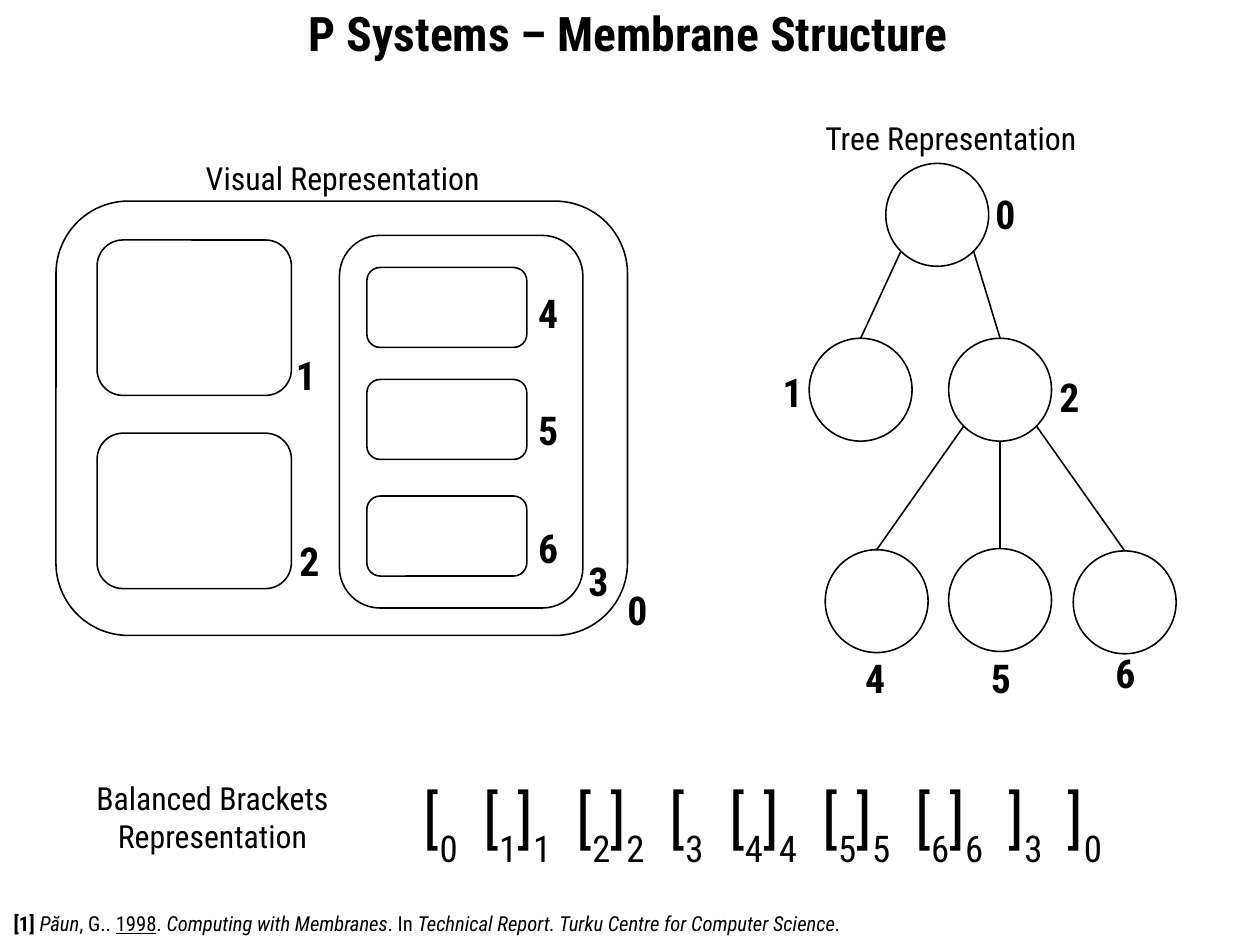
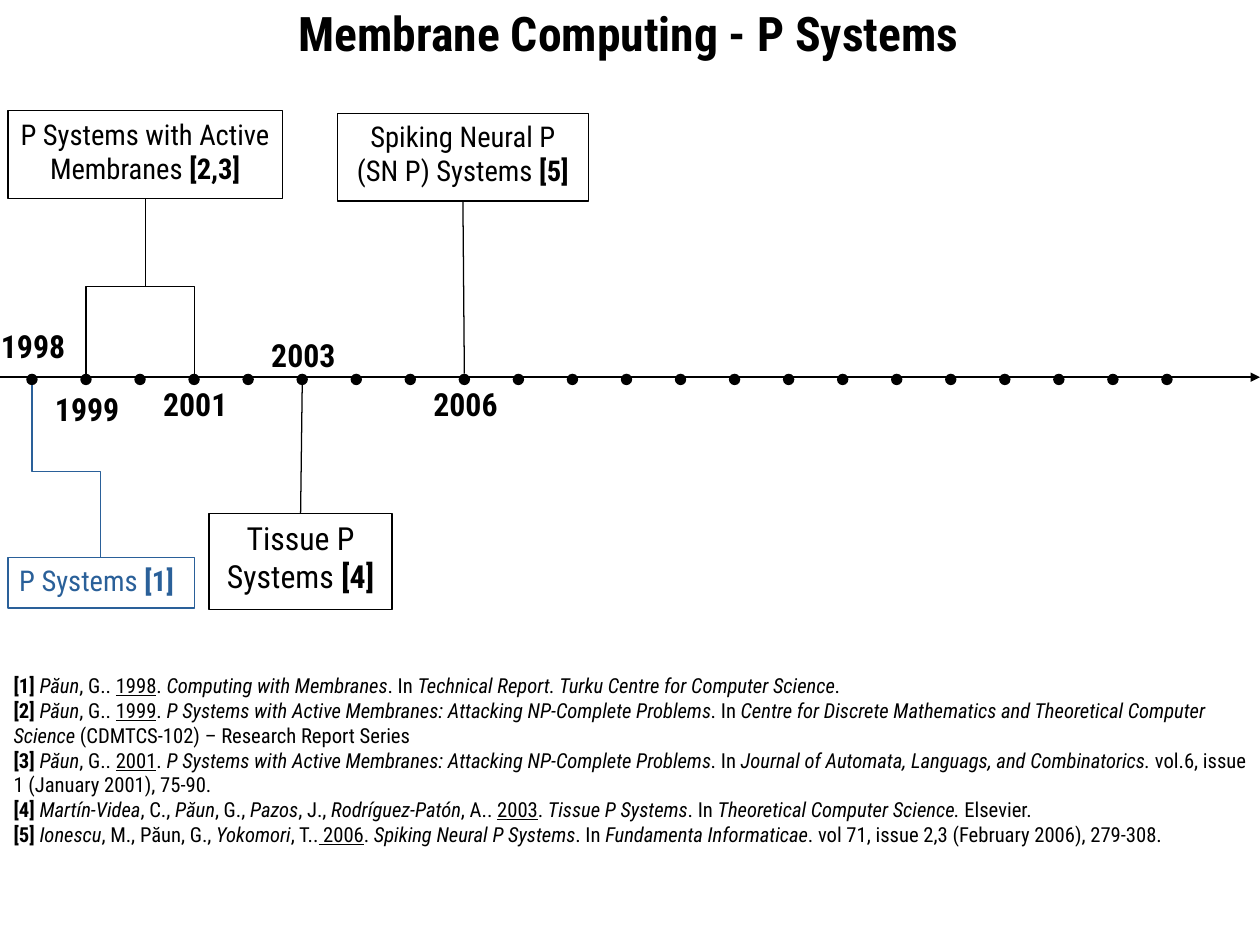
import lxml.etree
import pptx
import pptx.dml.color
import pptx.enum.shapes
import pptx.enum.text
import pptx.oxml.ns
import pptx.shapes.connector
import pptx.util

Inches = pptx.util.Inches
SHAPE = pptx.enum.shapes.MSO_SHAPE
CONNECTOR = pptx.enum.shapes.MSO_CONNECTOR
LEFT = pptx.enum.text.PP_ALIGN.LEFT
CENTER = pptx.enum.text.PP_ALIGN.CENTER
TOP = pptx.enum.text.MSO_ANCHOR.TOP
MIDDLE = pptx.enum.text.MSO_ANCHOR.MIDDLE
qn = pptx.oxml.ns.qn

COLOURS = {"black": "000000", "blue": "2A6099"}
FONT = "Roboto Condensed"


def write_text(shape, paragraphs, size, colour="black", align=LEFT, anchor=TOP, wrap=True):
    """Fill a shape; each paragraph is a list of (text, style), style letters: b, i, u, s(ubscript)."""
    frame = shape.text_frame
    frame.word_wrap = wrap
    frame.vertical_anchor = anchor
    for index, pieces in enumerate(paragraphs):
        paragraph = frame.add_paragraph() if index else frame.paragraphs[0]
        paragraph.alignment = align
        for text, style in pieces:
            run = paragraph.add_run()
            run.text = text
            run.font.name = FONT
            run.font.size = pptx.util.Pt(size)
            run.font.color.rgb = pptx.dml.color.RGBColor.from_string(COLOURS[colour])
            run.font.bold = "b" in style
            run.font.italic = "i" in style
            run.font.underline = "u" in style
            if "s" in style:
                run._r.get_or_add_rPr().set("baseline", "-33000")


def style_line(shape, width=1, colour="black"):
    """Give a shape or connector a plain line, with no fill and no shadow."""
    shape.line.color.rgb = pptx.dml.color.RGBColor.from_string(COLOURS[colour])
    shape.line.width = pptx.util.Pt(width)
    if isinstance(shape, pptx.shapes.connector.Connector):
        lxml.etree.SubElement(shape._element.spPr, qn("a:effectLst"))
    else:
        shape.fill.background()
        shape.shadow.inherit = False


# Slide size: 28 by 21 centimetres
presentation = pptx.Presentation()
presentation.slide_width = Inches(28 / 2.54)
presentation.slide_height = Inches(21 / 2.54)

# Slides with their titles
slides = []
for title in ("P Systems – Membrane Structure", "Membrane Computing - P Systems"):
    slide = presentation.slides.add_slide(presentation.slide_layouts[6])
    title_box = slide.shapes.add_textbox(0, Inches(0.01), Inches(11), Inches(0.55))
    frame = title_box.text_frame
    frame.margin_left = frame.margin_right = frame.margin_top = frame.margin_bottom = 0
    write_text(title_box, [[(title, "b")]], 30, align=CENTER, anchor=MIDDLE)
    slides.append(slide)
structure_slide, timeline_slide = slides

# References: the first one is cited on both slides
active_membranes = "P Systems with Active Membranes: Attacking NP-Complete Problems"
references = [
    [("[1] ", "b"), ("Păun", "i"), (", G.. ", ""), ("1998", "u"), (". ", ""),
     ("Computing with Membranes", "i"), (". In ", ""),
     ("Technical Report. Turku Centre for Computer Science", "i"), (".", "")],
    [("[2] ", "b"), ("Păun", "i"), (", G.. ", ""), ("1999", "u"), (". ", ""),
     (active_membranes, "i"), (". In ", ""),
     ("Centre for Discrete Mathematics and Theoretical Computer Science", "i"),
     (" (CDMTCS-102) – Research Report Series", "")],
    [("[3] ", "b"), ("Păun", "i"), (", G.. ", ""), ("2001", "u"), (". ", ""),
     (active_membranes, "i"), (". In ", ""),
     ("Journal of Automata, Languags, and Combinatorics.", "i"),
     (" vol.6, issue 1 (January 2001), 75-90.", "")],
    [("[4] ", "b"), ("Martín-Videa", "i"), (", C., ", ""), ("Păun", "i"), (", G., ", ""),
     ("Pazos", "i"), (", J., ", ""), ("Rodríguez-Patón", "i"), (", A.. ", ""),
     ("2003", "u"), (". ", ""), ("Tissue P Systems", "i"), (". In ", ""),
     ("Theoretical Computer Science. ", "i"), ("Elsevier.", "")],
    [("[5] ", "b"), ("Ionescu", "i"), (", M., Păun, G., ", ""), ("Yokomori", "i"),
     (", T..", ""), (" 2006", "u"), (". ", ""), ("Spiking Neural P Systems", "i"),
     (". In ", ""), ("Fundamenta Informaticae", "i"),
     (". vol 71, issue 2,3 (February 2006), 279-308.", "")],
]
for slide, top, width, height, cited in (
    (structure_slide, 7.92, 7.54, 0.34, references[:1]),
    (timeline_slide, 5.84, 11, 2.42, references),
):
    reference_box = slide.shapes.add_textbox(Inches(0.02), Inches(top), Inches(width), Inches(height))
    write_text(reference_box, cited, 13)

# Structure slide: headings
shapes = structure_slide.shapes
for left, top, width, height, lines in (
    (1.7, 1.34, 2.6, 0.47, ["Visual Representation"]),
    (7.12, 0.99, 2.4, 0.47, ["Tree Representation"]),
    (0.66, 6.76, 2.4, 0.83, ["Balanced Brackets", "Representation"]),
):
    heading = shapes.add_textbox(Inches(left), Inches(top), Inches(width), Inches(height))
    write_text(heading, [[(line, "")] for line in lines], 20, align=CENTER, wrap=False)

# Nested membranes: left, top, width, height
membranes = [(0.49, 1.76, 5, 3.8), (2.97, 2.06, 2.13, 3.26)]
membranes += [(0.85, top, 1.7, 1.36) for top in (2.1, 3.79)]
membranes += [(3.21, top, 1.4, 0.7) for top in (2.34, 3.32, 4.34)]
for box in membranes:
    style_line(shapes.add_shape(SHAPE.ROUNDED_RECTANGLE, *map(Inches, box)))

# Tree nodes: left and top of each circle
DIAMETER = 0.9
RADIUS = DIAMETER / 2
DIAGONAL = RADIUS * 0.5 ** 0.5
node_places = {"0": (7.75, 1.43), "1": (7.08, 2.96), "2": (8.3, 2.96),
               "4": (7.22, 4.81), "5": (8.3, 4.8), "6": (9.39, 4.82)}
nodes = {}
for name, (left, top) in node_places.items():
    nodes[name] = shapes.add_shape(SHAPE.OVAL, Inches(left), Inches(top),
                                   Inches(DIAMETER), Inches(DIAMETER))
    style_line(nodes[name])

# Branches leave the parent at its lower left (-1), bottom (0) or lower right (1)
for parent, child, side in (("0", "1", -1), ("0", "2", 1),
                            ("2", "4", -1), ("2", "5", 0), ("2", "6", 1)):
    left, top = node_places[parent]
    child_left, child_top = node_places[child]
    branch = shapes.add_connector(
        CONNECTOR.STRAIGHT,
        Inches(left + RADIUS + side * DIAGONAL),
        Inches(top + RADIUS + (DIAGONAL if side else RADIUS)),
        Inches(child_left + RADIUS), Inches(child_top))
    branch.end_connect(nodes[child], 0)
    style_line(branch)

# Numbers of the membranes, then of the tree nodes
for number, left, top in (
    ("0", 5.39, 5.08), ("1", 2.49, 3.02), ("2", 2.52, 4.65), ("3", 5.05, 4.82),
    ("4", 4.61, 2.48), ("5", 4.61, 3.5), ("6", 4.61, 4.53),
    ("0", 8.61, 1.61), ("1", 6.75, 3.17), ("2", 9.17, 3.21),
    ("4", 7.47, 5.67), ("5", 8.57, 5.67), ("6", 9.66, 5.63),
):
    label = shapes.add_textbox(Inches(left), Inches(top), Inches(0.37), Inches(0.56))
    write_text(label, [[(number, "b")]], 25)

# Balanced brackets: one tab stop after each group but the last
groups = ["[0", "[1]1", "[2]2", "[3", "[4]4", "[5]5", "[6]6", "]3", "]0"]
bracket_box = shapes.add_textbox(Inches(3.61), Inches(6.76), Inches(6.14), Inches(0.95))
properties = bracket_box.text_frame.paragraphs[0]._p.get_or_add_pPr()
tab_list = lxml.etree.SubElement(properties, qn("a:tabLst"))
position = 0
for group in groups[:-1]:
    position += 0.52 if len(group) == 2 else 0.815
    lxml.etree.SubElement(tab_list, qn("a:tab"), pos=str(Inches(position)), algn="l")
bracket_runs = [(character, "s" if character.isdigit() else "")
                for character in "\t".join(groups)]
write_text(bracket_box, [bracket_runs], 40)

# Timeline slide: axis with an arrowhead
shapes = timeline_slide.shapes
axis = shapes.add_connector(CONNECTOR.STRAIGHT, 0, Inches(3.3),
                            presentation.slide_width, Inches(3.3))
style_line(axis)
lxml.etree.SubElement(axis._element.spPr.find(qn("a:ln")), qn("a:tailEnd"), type="triangle")

# One dot a year
DOT = 0.1
DOT_TOP = 3.27
DOT_BOTTOM = DOT_TOP + DOT
year_centres = {1998 + step: 0.28 + step * 9.93 / 21 for step in range(22)}
for centre in year_centres.values():
    dot = shapes.add_shape(SHAPE.OVAL, Inches(centre - DOT / 2), Inches(DOT_TOP),
                           Inches(DOT), Inches(DOT))
    dot.fill.solid()
    dot.fill.fore_color.rgb = pptx.dml.color.RGBColor.from_string(COLOURS["black"])
    dot.line.fill.background()
    dot.shadow.inherit = False

# Year labels above or below the axis
for year, top in ((1998, 2.81), (1999, 3.36), (2001, 3.32), (2003, 2.89), (2006, 3.32)):
    label = shapes.add_textbox(Inches(year_centres[year] - 0.37), Inches(top),
                               Inches(0.85), Inches(0.47))
    write_text(label, [[(str(year), "b")]], 20)

# Milestone boxes
milestones = {}
for name, citation, box, size, colour, align in (
    ("P Systems ", "[1]", (0.07, 4.88, 1.63, 0.44), 18, "blue", LEFT),
    ("P Systems with Active Membranes ", "[2,3]", (0.07, 0.97, 2.4, 0.77), 18, "black", CENTER),
    ("Tissue P Systems ", "[4]", (1.83, 4.49, 1.6, 0.84), 20, "black", CENTER),
    ("Spiking Neural P (SN P) Systems ", "[5]", (2.95, 0.99, 2.2, 0.77), 18, "black", CENTER),
):
    milestone = shapes.add_shape(SHAPE.RECTANGLE, *map(Inches, box))
    style_line(milestone, 0.79, colour)
    write_text(milestone, [[(name, ""), (citation, "b")]], size, colour, align)
    milestones[citation] = milestone

# Straight links between a dot and a milestone
for citation, year, dot_edge, site in (("[4]", 2003, DOT_BOTTOM, 0), ("[5]", 2006, DOT_TOP, 2)):
    x, y = Inches(year_centres[year]), Inches(dot_edge)
    link = shapes.add_connector(CONNECTOR.STRAIGHT, x, y, x, y)
    link.begin_connect(milestones[citation], site)
    style_line(link, 0.79)

# Elbow links run down, across and down: a quarter turn of the preset
for start_x, start_y, end_x, end_y, colour in (
    (year_centres[1998], DOT_BOTTOM, 0.88, 4.88, "blue"),
    (1.27, 1.74, year_centres[1999], DOT_TOP, "black"),
    (1.27, 1.74, year_centres[2001], DOT_TOP, "black"),
):
    middle_x, middle_y = (start_x + end_x) / 2, (start_y + end_y) / 2
    half_length, half_width = (end_y - start_y) / 2, abs(end_x - start_x) / 2
    elbow = shapes.add_connector(
        CONNECTOR.ELBOW,
        Inches(middle_x - half_length), Inches(middle_y - half_width),
        Inches(middle_x + half_length), Inches(middle_y + half_width))
    transform = elbow._element.spPr.find(qn("a:xfrm"))
    if end_x < start_x:
        transform.set("rot", str(90 * 60000))
    else:
        transform.set("rot", str(270 * 60000))
        transform.set("flipH", "1")
    style_line(elbow, 0.79, colour)

presentation.save("out.pptx")
